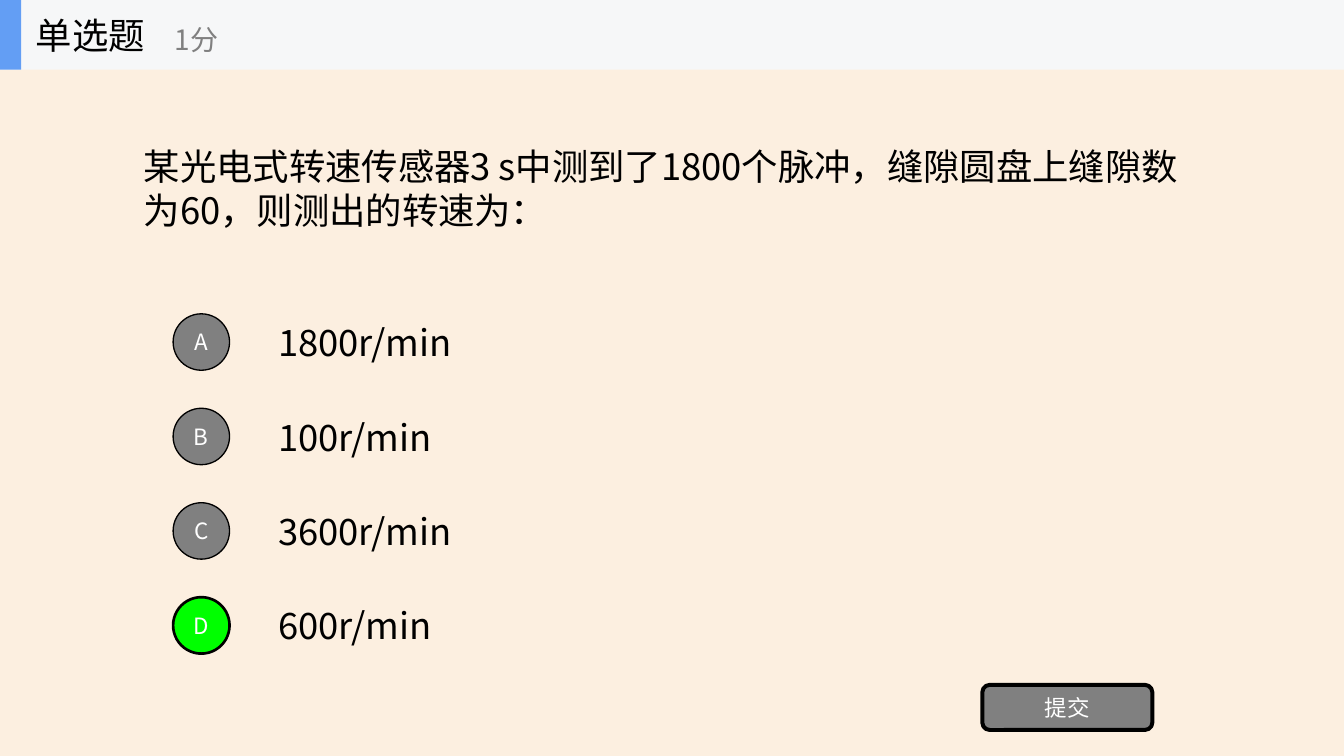
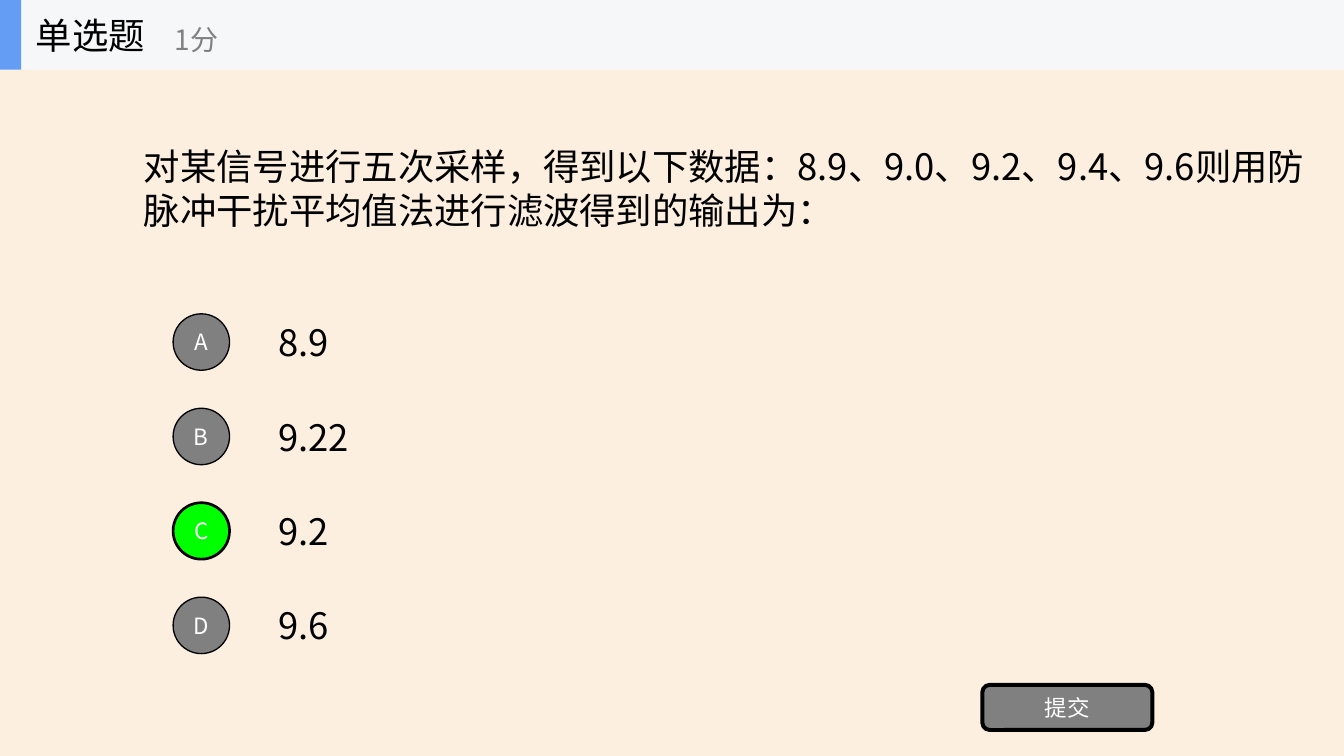
from lxml import etree
from pptx import Presentation
from pptx.dml.color import RGBColor
from pptx.enum.shapes import MSO_SHAPE
from pptx.enum.text import MSO_ANCHOR, PP_ALIGN
from pptx.oxml.ns import qn
from pptx.util import Cm, Pt

RECTANGLE = MSO_SHAPE.RECTANGLE
ROUNDED = MSO_SHAPE.ROUNDED_RECTANGLE
OVAL = MSO_SHAPE.OVAL
MIDDLE = MSO_ANCHOR.MIDDLE
LEFT, CENTER = PP_ALIGN.LEFT, PP_ALIGN.CENTER

FONT = "Noto Sans CJK SC"
COLORS = {
    "background": "FCEFE0",
    "band": "F6F7F8",
    "accent": "639EF4",
    "ink": "000000",
    "muted": "808080",
    "correct": "00FF00",
    "white": "FFFFFF",
}
BODY_SIZE, SCORE_SIZE, LABEL_SIZE = 27.4, 21.1, 16.9

PAGE_WIDTH, PAGE_HEIGHT = 35.71, 20.09
BAND_HEIGHT = 1.85
OPTION_TOP, OPTION_HEIGHT, OPTION_STEP = 8.15, 1.88, 2.51
CIRCLE_SIZE = 1.5

QUESTIONS = [
    {
        "text": "某光电式转速传感器3 s中测到了1800个脉冲，缝隙圆盘上缝隙数为60，则测出的转速为：",
        "width": 28.58,
        "options": ["1800r/min", "100r/min", "3600r/min", "600r/min"],
        "answer": "D",
    },
    {
        "text": "对某信号进行五次采样，得到以下数据：8.9、9.0、9.2、9.4、9.6则用防脉冲干扰平均值法进行滤波得到的输出为：",
        "width": 31.78,
        "options": ["8.9", "9.22", "9.2", "9.6"],
        "answer": "C",
    },
]


def color(name):
    return RGBColor.from_string(COLORS[name])


def write(frame, text, size=BODY_SIZE, ink="ink", align=LEFT):
    """Put one formatted, vertically centred paragraph into a text frame."""
    frame.word_wrap = True
    frame.vertical_anchor = MIDDLE
    para = frame.paragraphs[0]
    para.alignment = align
    span = para.add_run()
    span.text = text
    span.font.size = Pt(size)
    span.font.color.rgb = color(ink)
    span.font.name = FONT
    east_asian = etree.SubElement(span.font._element, qn("a:ea"))
    east_asian.set("typeface", FONT)


class QuizDeck:
    """Holds the presentation and the shapes of the current slide."""

    def __init__(self):
        self.deck = Presentation()
        self.deck.slide_width = Cm(PAGE_WIDTH)
        self.deck.slide_height = Cm(PAGE_HEIGHT)
        self.shapes = None

    def add_page(self):
        page = self.deck.slides.add_slide(self.deck.slide_layouts[6])
        page.background.fill.solid()
        page.background.fill.fore_color.rgb = color("background")
        self.shapes = page.shapes

    def text(self, text, left, top, width, height, **style):
        box = self.shapes.add_textbox(Cm(left), Cm(top), Cm(width), Cm(height))
        write(box.text_frame, text, **style)

    def shape(self, kind, left, top, width, height, fill, line=0, label=None):
        shape = self.shapes.add_shape(kind, Cm(left), Cm(top), Cm(width), Cm(height))
        shape.shadow.inherit = False
        shape.fill.solid()
        shape.fill.fore_color.rgb = color(fill)
        if line:
            shape.line.color.rgb = color("ink")
            shape.line.width = Pt(line)
        else:
            shape.line.fill.background()
        if label:
            frame = shape.text_frame
            frame.margin_left = frame.margin_right = 0
            frame.margin_top = frame.margin_bottom = 0
            write(frame, label, size=LABEL_SIZE, ink="white", align=CENTER)

    def options(self, texts, answer):
        tops = [OPTION_TOP + row * OPTION_STEP for row in range(len(texts))]
        for text, top in zip(texts, tops):
            self.text(text, 7.14, top, 25, OPTION_HEIGHT)
        inset = (OPTION_HEIGHT - CIRCLE_SIZE) / 2
        for letter, top in zip("ABCD", tops):
            fill, line = ("correct", 2) if letter == answer else ("muted", 1)
            self.shape(OVAL, 4.6, top + inset, CIRCLE_SIZE, CIRCLE_SIZE,
                       fill, line, letter)

    def header(self):
        """Add the grouped title band; the group goes in front of the rest."""
        page_shapes = self.shapes
        self.shapes = page_shapes.add_group_shape().shapes
        self.shape(RECTANGLE, 0, 0, PAGE_WIDTH, BAND_HEIGHT, "band")
        self.shape(RECTANGLE, 0, 0, 0.56, BAND_HEIGHT, "accent")
        self.text("单选题", 0.7, 0, 5.6, BAND_HEIGHT)
        self.text("1分", 4.4, 0.3, 6.7, 1.5, size=SCORE_SIZE, ink="muted")
        self.shapes = page_shapes

    def question(self, text, width, options, answer):
        self.add_page()
        self.text(text, 3.57, BAND_HEIGHT, width, 6.28)
        self.options(options, answer)
        self.shape(ROUNDED, 26.1, 18.2, 4.52, 1.2, "muted", 3, "提交")
        self.header()


def main():
    quiz = QuizDeck()
    for question in QUESTIONS:
        quiz.question(**question)
    quiz.deck.save("out.pptx")


if __name__ == "__main__":
    main()
